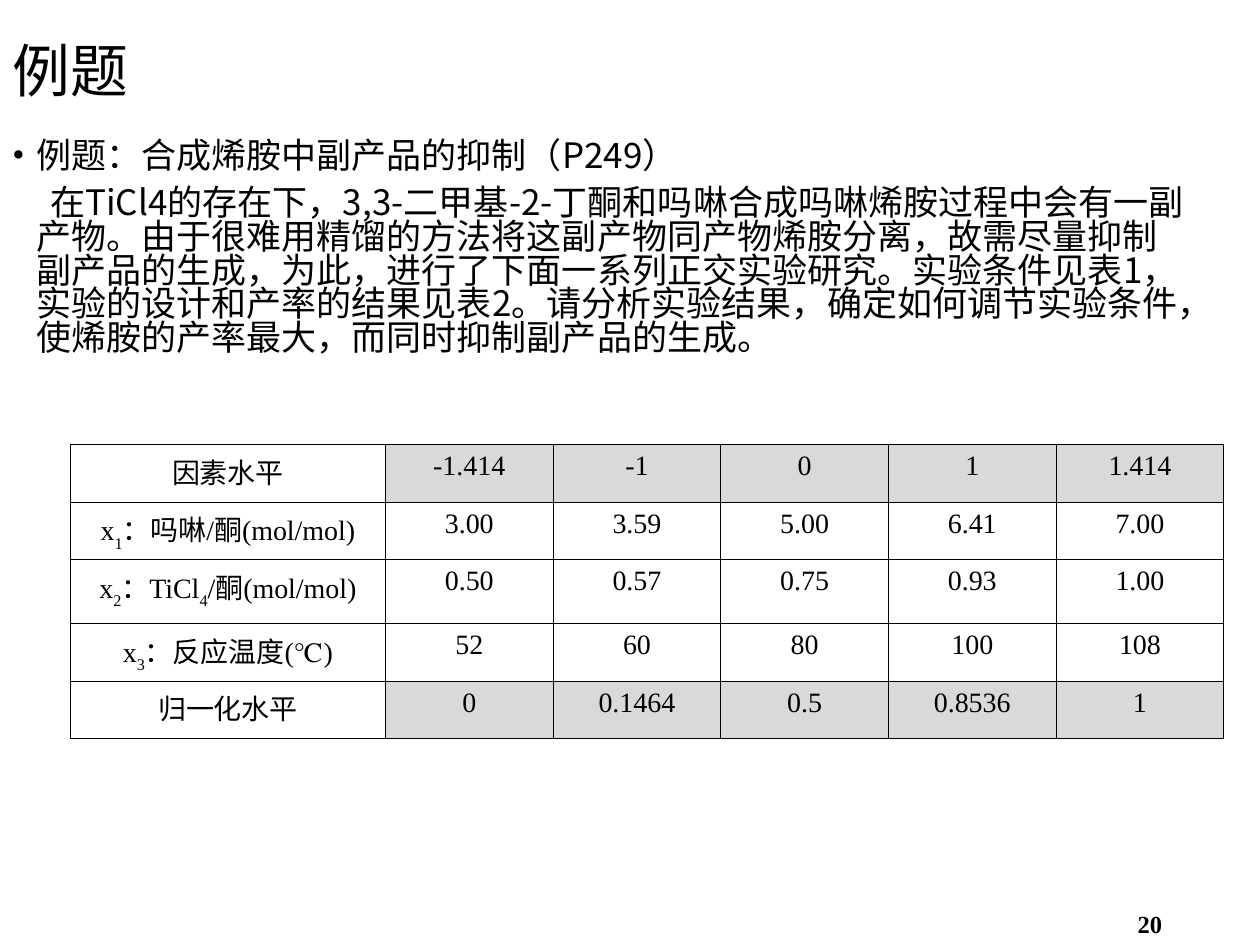
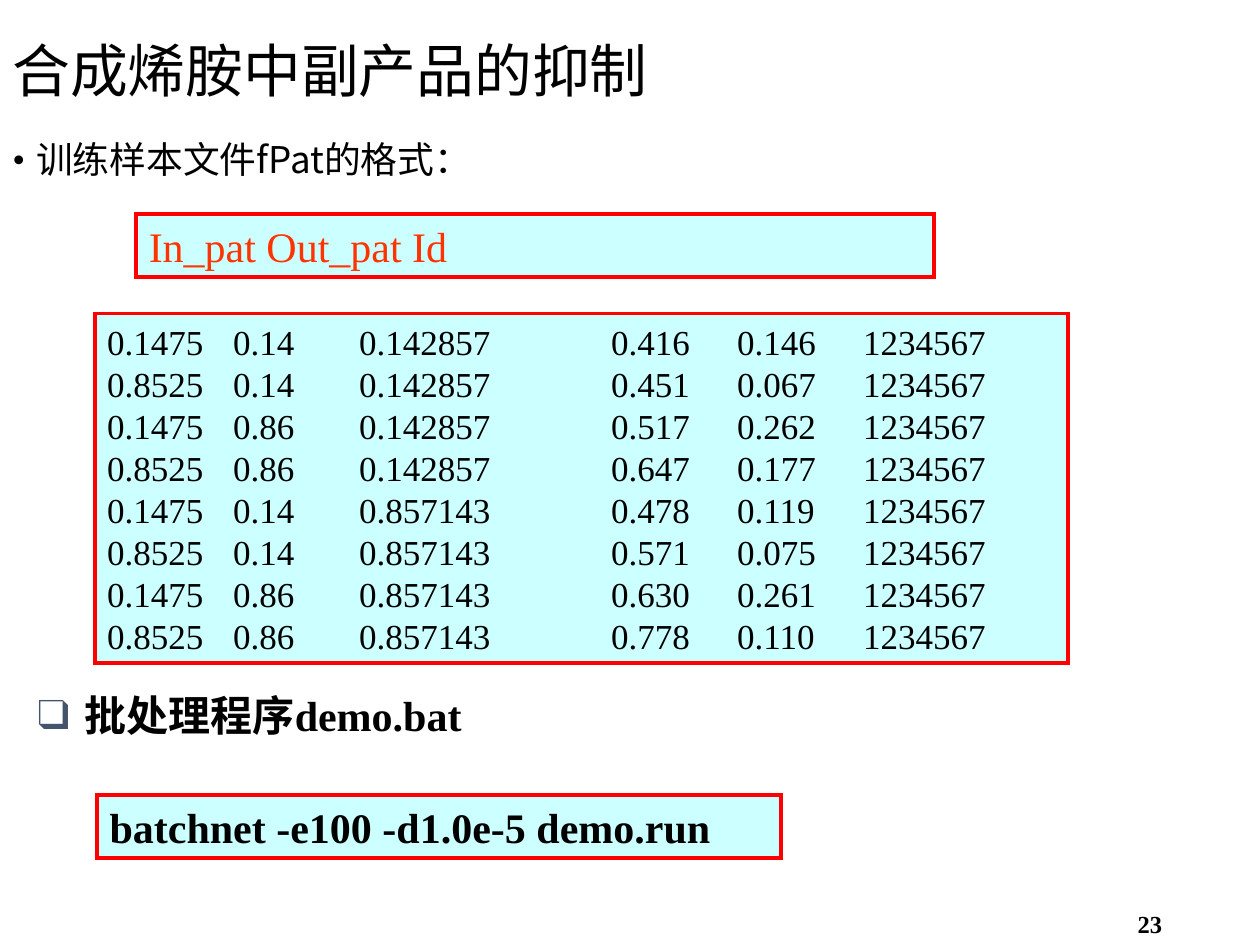
import itertools

import lxml.etree
import pptx
import pptx.dml.color
import pptx.enum.shapes
import pptx.enum.text
import pptx.oxml.ns
import pptx.util

Cm = pptx.util.Cm
Pt = pptx.util.Pt
ALIGN = pptx.enum.text.PP_ALIGN
ANCHOR = pptx.enum.text.MSO_ANCHOR

HUES = {
    "ink": "000000",
    "code": "FF3300",
    "edge": "FF0000",
    "pale": "CCFFFF",
    "gray": "D9D9D9",
    "mark": "44546A",
}
SANS, SERIF = "Noto Sans CJK SC", "Times New Roman"

# Boxes are left, top, width, height in centimetres.
TITLE = (0, 0.43, 24.26, 2.11)
PAGE = (20.96, 17.78, 4.44, 1.27)
BODY = (0, 2.74, 24.26, 5.08)
HANG = 0.48

LEVELS = [
    ["因素水平", "-1.414", "-1", "0", "1", "1.414"],
    ["x|1|：吗啉/酮(mol/mol)", "3.00", "3.59", "5.00", "6.41", "7.00"],
    ["x|2|：TiCl|4|/酮(mol/mol)", "0.50", "0.57", "0.75", "0.93", "1.00"],
    ["x|3|：反应温度(℃)", "52", "60", "80", "100", "108"],
    ["归一化水平", "0", "0.1464", "0.5", "0.8536", "1"],
]
STORY = (
    "在TiCl4的存在下，3,3-二甲基-2-丁酮和吗啉合成吗啉烯胺过程中会有一副产物。"
    "由于很难用精馏的方法将这副产物同产物烯胺分离，故需尽量抑制副产品的生成，"
    "为此，进行了下面一系列正交实验研究。实验条件见表1，实验的设计和产率的结果见表2。"
    "请分析实验结果，确定如何调节实验条件，使烯胺的产率最大，而同时抑制副产品的生成。"
)
INPUTS = itertools.product(("0.142857", "0.857143"), ("0.14", "0.86"), ("0.1475", "0.8525"))
YIELDS = [
    ("0.416", "0.146"), ("0.451", "0.067"), ("0.517", "0.262"), ("0.647", "0.177"),
    ("0.478", "0.119"), ("0.571", "0.075"), ("0.630", "0.261"), ("0.778", "0.110"),
]


def paint(hue):
    return pptx.dml.color.RGBColor.from_string(HUES[hue])


def apply(item, form):
    for name, value in form.items():
        setattr(item, name, value)


def node(base, tag, **attrs):
    return lxml.etree.SubElement(base, pptx.oxml.ns.qn("a:" + tag), attrs)


def write(para, text, size, face=SERIF, hue="ink", bold=False, **form):
    """Fill a paragraph; parts between bars are set as subscripts."""
    apply(para, form)
    for spot, part in enumerate(text.split("|")):
        run = para.add_run()
        run.text = part
        apply(run.font, {"size": Pt(size), "name": face, "bold": bold})
        run.font.color.rgb = paint(hue)
        props = run._r.get_or_add_rPr()
        node(props, "ea", typeface=SANS)
        if spot % 2:
            props.set("baseline", "-30000")


def indent(para, left, first):
    props = para._p.get_or_add_pPr()
    props.set("marL", str(Cm(left)))
    props.set("indent", str(Cm(first)))
    return props


def bullet(para, sign, left, hue="ink"):
    props = indent(para, left, -left)
    node(node(props, "buClr"), "srgbClr", val=HUES[hue])
    node(props, "buFont", typeface=SERIF)
    node(props, "buChar", char=sign)


def tabs(para, stops):
    row = node(para._p.get_or_add_pPr(), "tabLst")
    for stop in stops:
        node(row, "tab", pos=str(Cm(stop)), algn="l")


def area(slide, box, anchor=ANCHOR.TOP):
    frame = slide.shapes.add_textbox(*map(Cm, box)).text_frame
    apply(frame, {"word_wrap": True, "vertical_anchor": anchor})
    return frame


def start(deck, title, page):
    """Add a slide with its title and page number."""
    slide = deck.slides.add_slide(deck.slide_layouts[6])
    head = area(slide, TITLE, ANCHOR.MIDDLE)
    write(head.paragraphs[0], title, 33, SANS, line_spacing=0.9)
    foot = area(slide, PAGE, ANCHOR.BOTTOM)
    write(foot.paragraphs[0], page, 14, bold=True, alignment=ALIGN.CENTER)
    return slide


def panel(slide, box, lines, size, stops=(), **look):
    """Draw a framed code box with one paragraph per line."""
    kind = pptx.enum.shapes.MSO_SHAPE.RECTANGLE
    shape = slide.shapes.add_shape(kind, *map(Cm, box))
    shape.shadow.inherit = False
    shape.fill.solid()
    shape.fill.fore_color.rgb = paint("pale")
    shape.line.color.rgb = paint("edge")
    shape.line.width = Pt(2.25)
    node(shape.line._get_or_add_ln(), "miter", lim="800000")
    frame = shape.text_frame
    apply(frame, {"word_wrap": True, "vertical_anchor": ANCHOR.MIDDLE})
    for spot, line in enumerate(lines):
        para = frame.add_paragraph() if spot else frame.paragraphs[0]
        if stops:
            tabs(para, stops)
        write(para, line, size, alignment=ALIGN.LEFT, **look)


def border(cell):
    props = cell._tc.get_or_add_tcPr()
    for spot, side in enumerate(("lnL", "lnR", "lnT", "lnB")):
        line = node(props, side, w=str(Pt(0.45)))
        node(node(line, "solidFill"), "srgbClr", val=HUES["ink"])
        props.insert(spot, line)


def grid(slide, left, top, rows, widths, heights):
    """Place the level table; value cells of the outer rows are shaded."""
    size = (left, top, sum(widths), sum(heights))
    table = slide.shapes.add_table(len(rows), len(widths), *map(Cm, size)).table
    apply(table, {"first_row": False, "horz_banding": False})
    for column, width in zip(table.columns, widths):
        column.width = Cm(width)
    for line, height in zip(table.rows, heights):
        line.height = Cm(height)
    for r, row in enumerate(rows):
        for c, text in enumerate(row):
            cell = table.cell(r, c)
            if c and r in (0, len(rows) - 1):
                cell.fill.solid()
                cell.fill.fore_color.rgb = paint("gray")
            else:
                cell.fill.background()
            border(cell)
            write(cell.text_frame.paragraphs[0], text, 16, alignment=ALIGN.CENTER)


def task(deck):
    slide = start(deck, "例题", "20")
    frame = area(slide, BODY)
    lead, story = frame.paragraphs[0], frame.add_paragraph()
    bullet(lead, "•", HANG)
    write(lead, "例题：合成烯胺中副产品的抑制（P249）", 20, SANS, line_spacing=0.8)
    indent(story, HANG, 0.28)
    write(story, STORY, 20, SANS, line_spacing=0.8, space_before=Pt(7.5))
    grid(slide, 1.42, 8.96, LEVELS, [6.35] + [3.38] * 5, [1.16, 1.16, 1.29, 1.16, 1.16])


def train(deck):
    slide = start(deck, "合成烯胺中副产品的抑制", "23")
    lead = area(slide, (*BODY[:3], 1.52)).paragraphs[0]
    bullet(lead, "•", HANG)
    write(lead, "训练样本文件fPat的格式：", 21, SANS, line_spacing=0.9)
    panel(slide, (2.75, 4.32, 16.08, 1.27), ["In_pat Out_pat Id"], 24, hue="code")
    lines = ["\t".join((*reversed(given), *made, "1234567"))
             for given, made in zip(INPUTS, YIELDS)]
    stops = [2.54 * n for n in (1, 2, 4, 5, 6)]
    panel(slide, (1.91, 6.32, 19.63, 7.04), lines, 20, stops)
    panel(slide, (1.96, 16.03, 13.79, 1.27), ["batchnet -e100 -d1.0e-5 demo.run"], 24, bold=True)
    batch = area(slide, (0.51, 13.89, 24.26, 1.42)).paragraphs[0]
    bullet(batch, "❑", 0.95, "mark")
    write(batch, "批处理程序demo.bat", 24, bold=True, line_spacing=0.9)


def main():
    deck = pptx.Presentation()
    apply(deck, {"slide_width": Cm(25.4), "slide_height": Cm(19.05)})
    task(deck)
    train(deck)
    deck.save("out.pptx")


if __name__ == "__main__":
    main()
